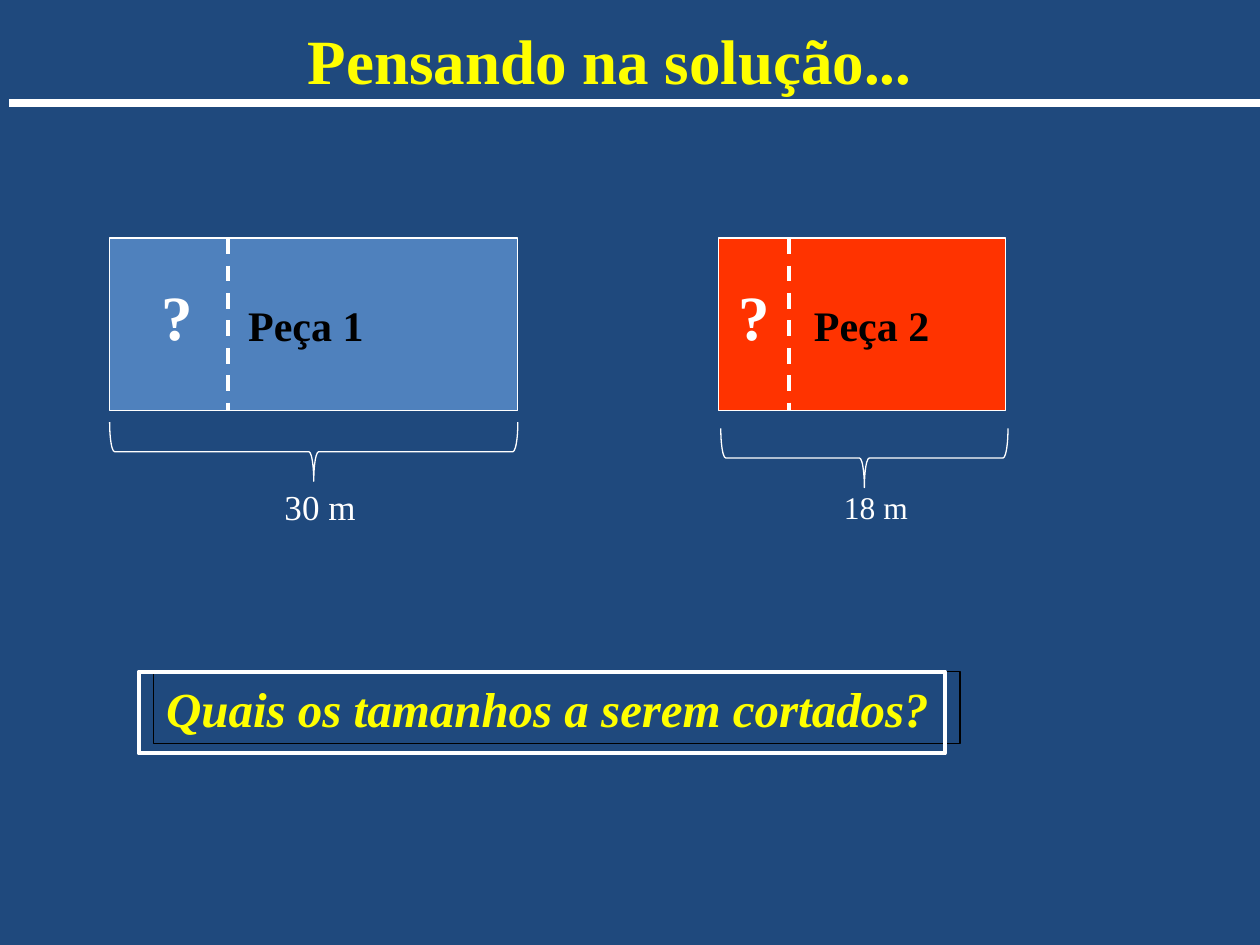
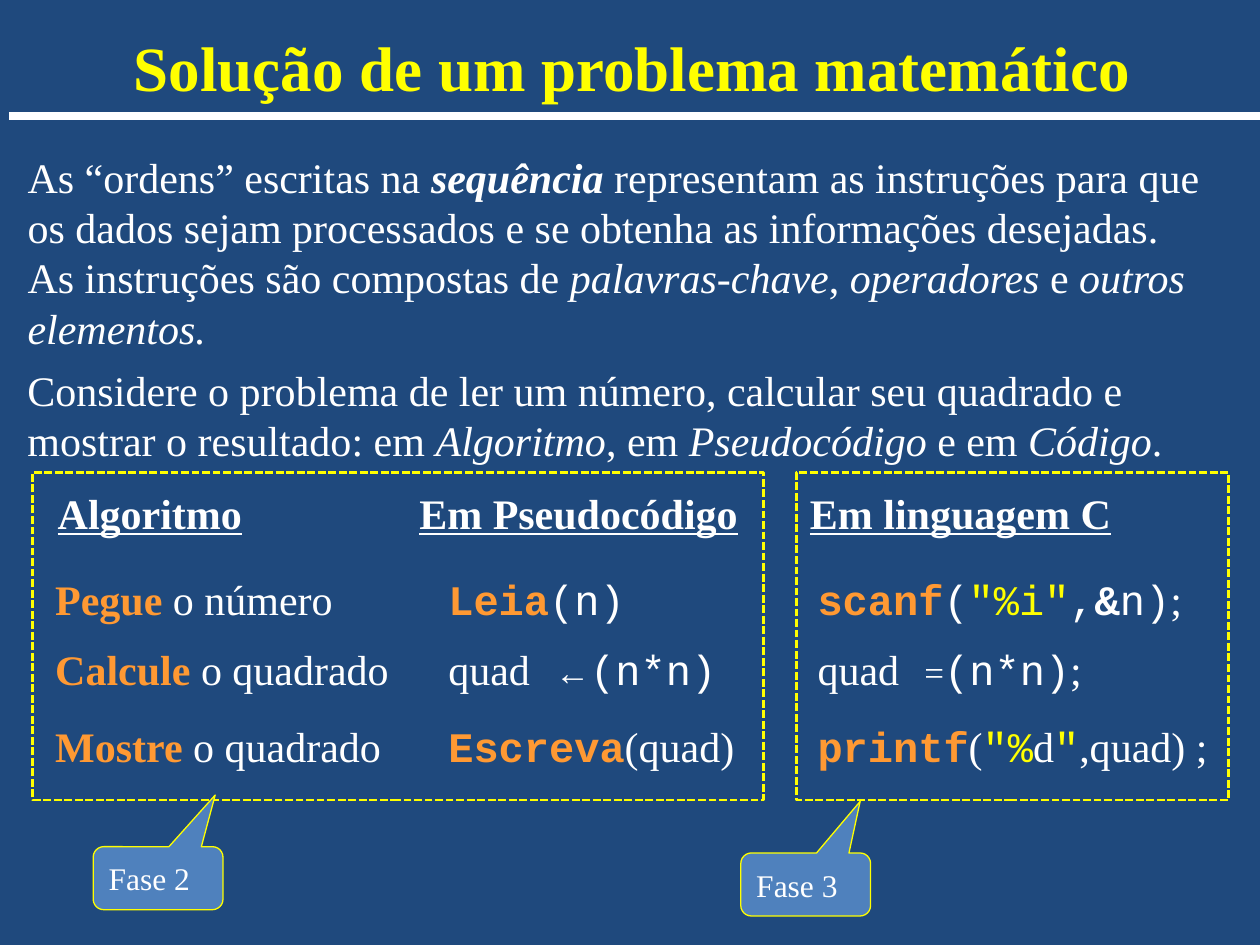
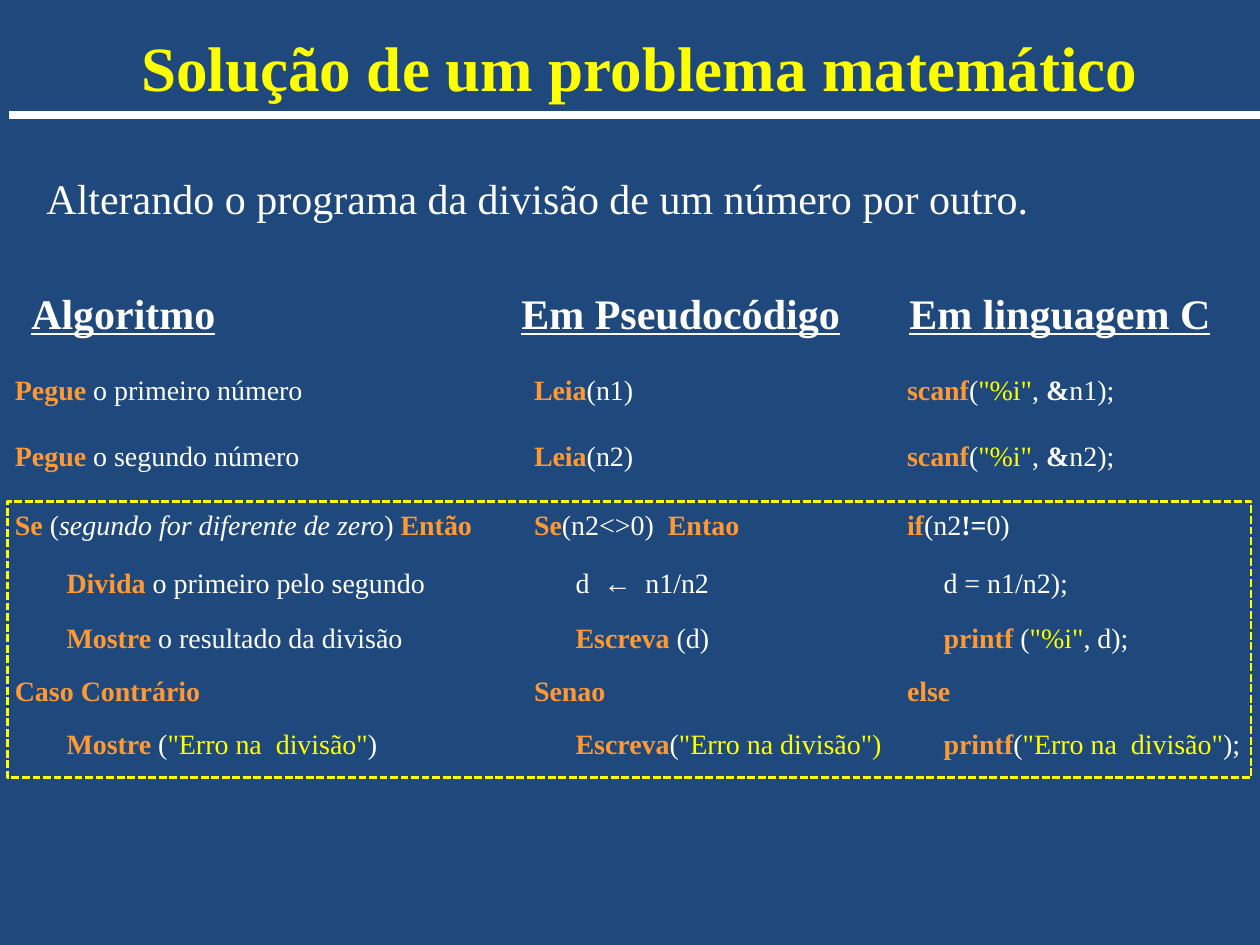
import dataclasses

import lxml.etree
import pptx
import pptx.dml.color
import pptx.enum.dml
import pptx.enum.shapes
import pptx.enum.text
import pptx.oxml.ns
import pptx.util

SHAPE = pptx.enum.shapes.MSO_SHAPE
DASH = pptx.enum.dml.MSO_LINE
ALIGN = pptx.enum.text.PP_ALIGN
ANCHOR = pptx.enum.text.MSO_ANCHOR


@dataclasses.dataclass(frozen=True)
class Theme:
    back: str = "1F497D"
    white: str = "FFFFFF"
    black: str = "000000"
    yellow: str = "FFFF00"
    orange: str = "FF9933"
    blue: str = "4F81BD"
    red: str = "FF3300"
    serif: str = "Times New Roman"
    mono: str = "Courier New"
    title: int = 36
    question: int = 28
    body: int = 24
    length: int = 20
    label: int = 18
    code: int = 16


T = Theme()
prs = pptx.Presentation()
prs.slide_width = pptx.util.Inches(10)
prs.slide_height = pptx.util.Inches(7.5)
U = prs.slide_width / 10  # the slide is a grid of 10 columns by 7.5 rows


def add_box(sl, kind, at, fill=None, line=None, width=0.75, dash=None):
    """Add a shape at (left, top, width, height) in grid units; kind None is a text box."""
    at = [round(v * U) for v in at]
    if kind is None:
        return sl.shapes.add_textbox(*at)
    sp = sl.shapes.add_shape(kind, *at)
    sp.shadow.inherit = False
    if fill:
        sp.fill.solid()
        sp.fill.fore_color.rgb = pptx.dml.color.RGBColor.from_string(fill)
    else:
        sp.fill.background()
    sp.line.color.rgb = pptx.dml.color.RGBColor.from_string(line)
    sp.line.width = pptx.util.Pt(width)
    sp.line.dash_style = dash
    return sp


def write(sp, paragraphs, size, anchor=ANCHOR.TOP, align=ALIGN.LEFT):
    """Fill sp with paragraphs, each a list of (text, style) runs.

    Style letters: b bold, i italic, u underlined, m monospaced,
    y yellow, d dark, k keyword (bold orange), s small.
    """
    tf = sp.text_frame
    tf.word_wrap = True
    tf.vertical_anchor = anchor
    for n, runs in enumerate(paragraphs):
        p = tf.paragraphs[0] if n == 0 else tf.add_paragraph()
        p.alignment = align
        for text, style in runs:
            r = p.add_run()
            r.text = text
            r.font.name = T.mono if "m" in style else T.serif
            r.font.size = pptx.util.Pt(T.length if "s" in style else size)
            r.font.bold = "b" in style or "k" in style
            r.font.italic = "i" in style
            r.font.underline = "u" in style
            color = (T.orange if "k" in style else T.yellow if "y" in style
                     else T.black if "d" in style else T.white)
            r.font.color.rgb = pptx.dml.color.RGBColor.from_string(color)


# Titles and the rule under each: text, title frame, height of the rule
titles = [
    ("Pensando na solução...", (0.59, 0.08, 8.5, 0.78), 0.82),
    ("Solução de um problema matemático", (0.12, 0.12, 9.79, 0.81), 0.92),
    ("Solução de um problema matemático", (0.18, 0.12, 9.79, 0.81), 0.91),
]
slides, lines = [], []
for text, at, rule in titles:
    sl = prs.slides.add_slide(prs.slide_layouts[6])
    sl.background.fill.solid()
    sl.background.fill.fore_color.rgb = pptx.dml.color.RGBColor.from_string(T.back)
    write(add_box(sl, None, at), [[(text, "yb")]], T.title, ANCHOR.MIDDLE, ALIGN.CENTER)
    slides.append(sl)
    lines.append((sl, (0.07, rule, 10, rule), 4.5, None))
pieces, square, division = slides

# Slide 1: the two pieces, each with its cut, brace and length
top, height, brace = 1.89, 1.37, 0.47
for name, left, width, indent, fill, cut, mark, brace_x, brace_y, length, length_at, size in [
    ("Peça 1", 0.87, 3.24, 1.1, T.blue, 1.81, 1.18, 0.87, 3.35, "30 m", (2.16, 3.8), T.length),
    ("Peça 2", 5.7, 2.28, 0.76, T.red, 6.26, 5.76, 5.72, 3.4, "18 m", (6.6, 3.82), T.label),
]:
    sp = add_box(pieces, SHAPE.RECTANGLE, (left, top, width, height), fill, T.white)
    write(sp, [[(name, "bd")]], T.body, ANCHOR.MIDDLE)
    sp.text_frame.margin_left = round(indent * U)
    lines.append((pieces, (cut, top, cut, top + height), 2.25, DASH.DASH))
    write(add_box(pieces, None, (mark, 2.15, 0.45, 0.71)), [[("?", "b")]], T.title)
    # The brace is drawn upright and turned about its centre
    sp = add_box(pieces, SHAPE.RIGHT_BRACE,
                 (brace_x + (width - brace) / 2, brace_y - (width - brace) / 2, brace, width),
                 line=T.white)
    sp.rotation = 90
    write(add_box(pieces, None, (*length_at, 1.2, 0.45)), [[(length, "")]], size)

sp = add_box(pieces, SHAPE.RECTANGLE, (1.22, 5.33, 6.4, 0.57), line=T.black)
write(sp, [[("Quais os tamanhos a serem cortados?", "ybi")]], T.question, ANCHOR.MIDDLE)
add_box(pieces, SHAPE.RECTANGLE, (1.1, 5.33, 6.4, 0.65), line=T.white, width=2.25)

# Slide 2: introduction, frames and phases
write(add_box(square, None, (0.12, 1.15, 9.79, 1.72)), [
    [("As “ordens” escritas na ", ""), ("sequência", "bi"),
     (" representam as instruções para que os dados sejam processados "
      "e se obtenha as informações desejadas.", "")],
    [("As instruções são compostas de ", ""), ("palavras-chave", "i"), (", ", ""),
     ("operadores", "i"), (" e ", ""), ("outros elementos.", "i")],
], T.body)
write(add_box(square, None, (0.12, 2.84, 9.3, 0.91)), [
    [("Considere o problema de ler um número, calcular seu quadrado e "
      "mostrar o resultado: em ", ""), ("Algoritmo", "i"), (", em ", ""),
     ("Pseudocódigo", "i"), (" e em ", ""), ("Código", "i"), (".", "")],
], T.body)
for left, width, phase, phase_at, tip in [
    (0.26, 5.8, "Fase 2", (0.74, 6.72), 0.44),
    (6.32, 3.43, "Fase 3", (5.88, 6.77), 0.42),
]:
    add_box(square, SHAPE.RECTANGLE, (left, 3.75, width, 2.6),
            line=T.yellow, width=1.5, dash=DASH.SQUARE_DOT)
    sp = add_box(square, SHAPE.ROUNDED_RECTANGULAR_CALLOUT, (*phase_at, 1.03, 0.5),
                 T.blue, T.yellow)
    sp.adjustments[0], sp.adjustments[1] = tip, -1.32
    write(sp, [[(phase, "")]], T.label, ANCHOR.MIDDLE)

# Slide 3: introduction and the frame of the decision
write(add_box(division, None, (0.27, 1.32, 8.95, 0.5)),
      [[("Alterando o programa da divisão de um número por outro.", "")]], T.body)
add_box(division, SHAPE.RECTANGLE, (0.06, 3.98, 9.87, 2.19),
        line=T.yellow, width=1.5, dash=DASH.SQUARE_DOT)

# Headings above the three notations
headings = ["Algoritmo", "Em Pseudocódigo", "Em linguagem C"]
for sl, row, columns in [(square, 3.82, (0.36, 3.23, 6.33)),
                         (division, 2.23, (0.15, 4.04, 7.12))]:
    for text, left in zip(headings, columns):
        write(add_box(sl, None, (left, row, 2.8, 0.51)), [[(text, "bu")]], T.body)

# Steps in the three notations: row, indented or not, one list of runs per column
square_steps = [
    (4.5, 0, [[("Pegue", "k"), (" o número", "")],
              [("Leia", "km"), ("(n)", "m")],
              [("scanf", "km"), ("(", "m"), ('"%i"', "ym"), (",", "m"), ("&", "bm"),
               ("n)", "m"), (";", "")]]),
    (5.06, 0, [[("Calcule", "k"), (" o quadrado", "")],
               [("quad", ""), (" ", "m"), ("←", "s"), ("(n*n)", "m")],
               [("quad", ""), (" ", "m"), ("=", "s"), ("(n*n)", "m"), (";", "")]]),
    (5.67, 0, [[("Mostre", "k"), (" o quadrado", "")],
               [("Escreva", "km"), ("(quad)", "")],
               [("printf", "km"), ("(", ""), ('"%', "ym"), ("d", ""), ('"', "ym"),
                (",quad) ;", "")]]),
]
division_steps = [
    (2.91, 0, [[("Pegue", "k"), (" o primeiro número", "")],
               [("Leia", "k"), ("(n1)", "")],
               [("scanf", "k"), ("(", ""), ('"%i"', "y"), (", ", ""), ("&", "b"), ("n1);", "")]]),
    (3.43, 0, [[("Pegue", "k"), (" o segundo número", "")],
               [("Leia", "k"), ("(n2)", "")],
               [("scanf", "k"), ("(", ""), ('"%i"', "y"), (", ", ""), ("&", "b"), ("n2);", "")]]),
    (3.98, 0, [[("Se ", "k"), ("(", ""), ("segundo for diferente de zero", "i"), (") ", ""),
                ("Então", "k")],
               [("Se", "k"), ("(n2<>0)  ", ""), ("Entao", "k")],
               [("if", "k"), ("(n2", ""), ("!=", "b"), ("0)", "")]]),
    (4.44, 1, [[("Divida", "k"), (" o primeiro pelo segundo", "")],
               [("d  ←  n1/n2", "")],
               [("d = n1/n2);", "")]]),
    (4.88, 1, [[("Mostre", "k"), (" o resultado da divisão", "")],
               [("Escreva", "k"), (" (d)", "")],
               [("printf", "k"), (" (", ""), ('"%i"', "y"), (", d);", "")]]),
    (5.3, 0, [[("Caso Contrário", "k")], [("Senao", "k")], [("else", "k")]]),
    (5.72, 1, [[("Mostre", "k"), (" (", ""), ('"Erro na  divisão"', "y"), (")", "")],
               [("Escreva", "k"), ("(", ""), ('"Erro na divisão")', "y")],
               [("printf", "k"), ("(", ""), ('"Erro na  divisão"', "y"), (");", "")]]),
]
# Each column: left, extra left when indented, width
square_columns = [(0.34, 0, 2.87), (3.46, 0, 2.8), (6.39, 0, 3.4)]
division_columns = [(0.02, 0.41, 3.96), (4.14, 0.33, 2.9), (7.1, 0.29, 2.61)]
for sl, steps, columns, height, size in [
    (square, square_steps, square_columns, 0.51, T.body),
    (division, division_steps, division_columns, 0.37, T.code),
]:
    for row, indented, cells in steps:
        for (left, indent, width), runs in zip(columns, cells):
            sp = add_box(sl, None, (left + indent * indented, row, width, height))
            write(sp, [runs], size)

# Rules under the titles and the cuts through the pieces
for sl, ends, width, dash in lines:
    cx = sl.shapes.add_connector(pptx.enum.shapes.MSO_CONNECTOR.STRAIGHT,
                                 *[round(v * U) for v in ends])
    cx.line.color.rgb = pptx.dml.color.RGBColor.from_string(T.white)
    cx.line.width = pptx.util.Pt(width)
    cx.line.dash_style = dash
    lxml.etree.SubElement(cx._element.spPr, pptx.oxml.ns.qn("a:effectLst"))

prs.save("out.pptx")
